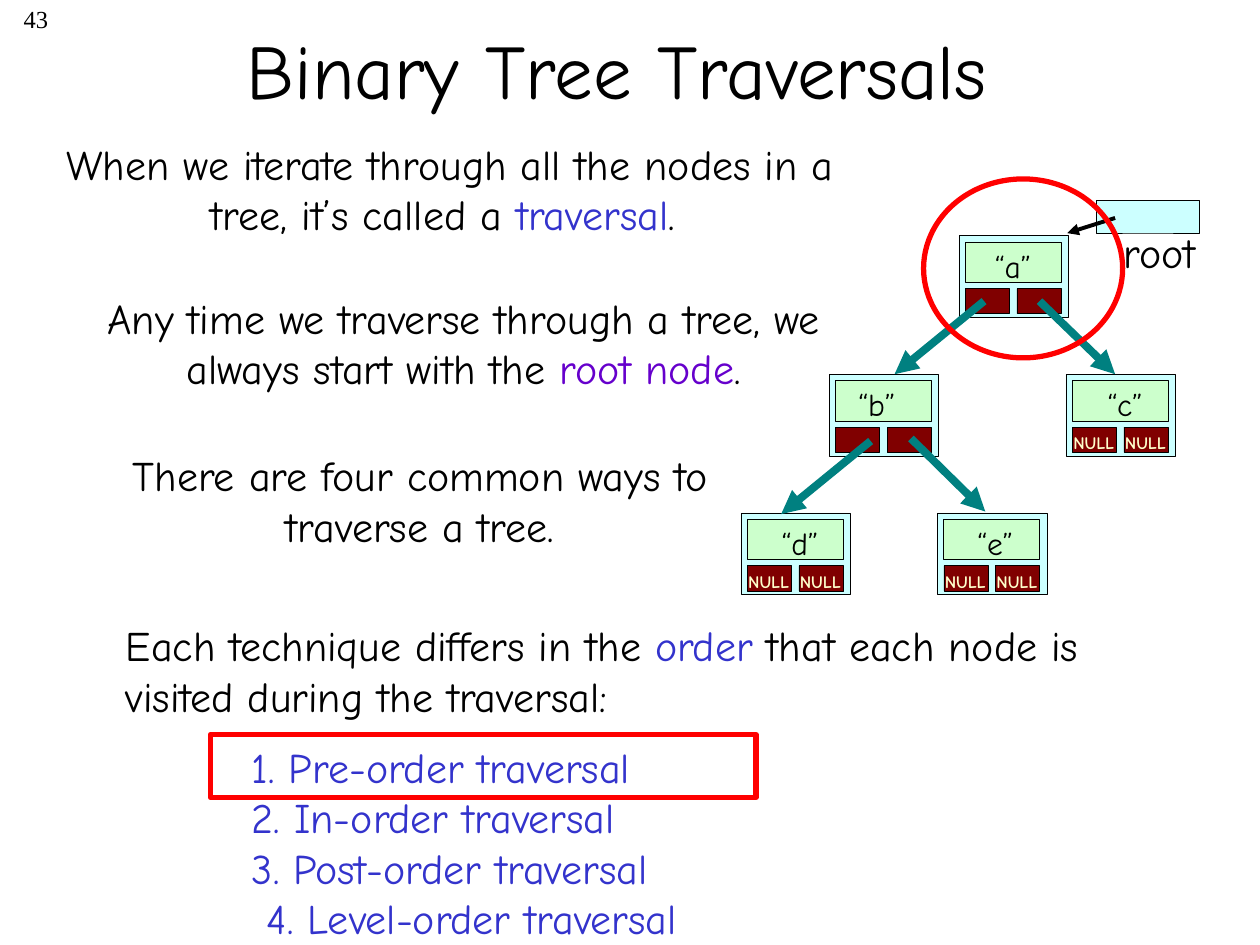
from lxml.etree import SubElement
from pptx import Presentation
from pptx.dml.color import RGBColor
from pptx.enum.shapes import MSO_CONNECTOR, MSO_SHAPE
from pptx.enum.text import MSO_ANCHOR, PP_ALIGN
from pptx.oxml.ns import qn
from pptx.util import Inches, Pt

COLUMNS, ROWS = 10, 7.5
BLACK, BLUE, PURPLE, RED = "000000", "3333CC", "6600CC", "FF0000"
CYAN, GREEN, MAROON, TEAL, CREAM = "CCFFFF", "CCFFCC", "800000", "008080", "FFFFCC"
LEFT, CENTER, RIGHT = PP_ALIGN.LEFT, PP_ALIGN.CENTER, PP_ALIGN.RIGHT


def colour(value):
    """Turn a hex string into a colour."""
    return RGBColor.from_string(value)


class TreePage:
    """Holds the style and the slide; lengths are grid columns and rows."""

    font = "Comic Neue"

    def __init__(self, deck):
        """Add a blank slide whose grid has square cells."""
        self.cell = deck.slide_width / COLUMNS
        self.page = deck.slides.add_slide(deck.slide_layouts[6])

    def grid(self, *lengths):
        """Convert grid lengths to slide units."""
        return [round(length * self.cell) for length in lengths]

    def text(self, at, paragraphs, size=24, align=LEFT, anchor=MSO_ANCHOR.TOP,
             font=None, bold=False, wrap=True):
        """Add a text box; a paragraph is (spans, indent, space before)."""
        frame = self.page.shapes.add_textbox(*self.grid(*at)).text_frame
        frame.word_wrap, frame.vertical_anchor = wrap, anchor
        for number, (spans, indent, before) in enumerate(paragraphs):
            para = frame.add_paragraph() if number else frame.paragraphs[0]
            para.alignment, para.space_before = align, Pt(before)
            para.font.name, para.font.size = font or self.font, Pt(size)
            para.font.bold = bold
            if indent:
                para._p.get_or_add_pPr().set("marL", str(self.grid(indent)[0]))
            for words, ink in spans:
                span = para.add_run()
                span.text = words
                span.font.color.rgb = colour(ink)

    def line_of_text(self, at, words, ink=BLACK, **style):
        """Add a text box with a single span."""
        self.text(at, [([(words, ink)], 0, 0)], **style)

    def shape(self, at, fill=None, line=BLACK, width=0.25, kind=MSO_SHAPE.RECTANGLE):
        """Add an outlined shape, hollow when no fill is given."""
        box = self.page.shapes.add_shape(kind, *self.grid(*at))
        box.shadow.inherit = False
        if fill:
            box.fill.solid()
            box.fill.fore_color.rgb = colour(fill)
        else:
            box.fill.background()
        box.line.color.rgb, box.line.width = colour(line), Pt(width)

    def arrow(self, start, end, ink=TEAL, width=4.5):
        """Add a straight arrow."""
        link = self.page.shapes.add_connector(
            MSO_CONNECTOR.STRAIGHT, *self.grid(*start, *end))
        link.line.color.rgb, link.line.width = colour(ink), Pt(width)
        properties = link.element.spPr
        SubElement(properties.find(qn("a:ln")), qn("a:tailEnd"), type="triangle")
        SubElement(properties, qn("a:effectLst"))

    def node(self, letter, left, top, shift, leaf):
        """Add a tree node: frame, value and two pointers, empty in a leaf."""
        self.shape((left, top, 0.87, 0.65), CYAN)
        self.shape((left + 0.05, top + 0.05, 0.76, 0.32), GREEN)
        self.line_of_text((left + 0.05 + shift, top + 0.04, 0.76, 0.4),
                          f"“{letter}”", size=18, align=CENTER, wrap=False)
        for slot in (left + 0.05, left + 0.46):
            self.shape((slot, top + 0.42, 0.35, 0.2), MAROON)
            if leaf:
                self.line_of_text((slot - 0.09, top + 0.41, 0.57, 0.27), "NULL",
                                  CREAM, size=10, bold=True, wrap=False)


deck = Presentation()
deck.slide_width, deck.slide_height = Inches(COLUMNS), Inches(ROWS)
tree = TreePage(deck)

tree.line_of_text((0, -0.02, 0.48, 0.5), "43", size=14, align=RIGHT,
                  font="Times New Roman")
tree.line_of_text((0.75, -0.08, 8.5, 1.25), "Binary Tree Traversals ", size=44,
                  align=CENTER, anchor=MSO_ANCHOR.MIDDLE)

statements = [
    ((0.31, 1.05, 6.52, 0.9), [
        ("When we iterate through all the nodes in a tree, it’s called a ", BLACK),
        ("traversal", BLUE), (". ", BLACK)]),
    ((0.42, 2.27, 6.52, 0.9), [
        ("Any time we traverse through a tree, we always start with the ", BLACK),
        ("root node", PURPLE), (".", BLACK)]),
    ((0.5, 3.52, 5.67, 0.9), [
        ("There are four common ways to traverse a tree.", BLACK)]),
]
for place, spans in statements:
    tree.text(place, [(spans, 0, 0)], align=CENTER)

technique = [("Each technique differs in the ", BLACK), ("order", BLUE),
             (" that each node is visited during the traversal:", BLACK)]
orders = [("Pre", 1, 12), ("In", 1, 0), ("Post", 1, 0), ("Level", 1.12, 0)]
tree.text((0.9, 4.87, 8.39, 2.7), [(technique, 0, 0)] + [
    ([(f"{number}. {name}-order traversal", BLUE)], indent, before)
    for number, (name, indent, before) in enumerate(orders, 1)])

LEVEL_TOPS = [1.87, 2.97, 4.07]
nodes = [("a", 7.61, 0, 0, False), ("b", 6.58, 1, -0.05, False),
         ("c", 8.46, 1, 0.04, True), ("d", 5.88, 2, 0.04, True),
         ("e", 7.44, 2, 0.03, True)]
for letter, left, level, shift, leaf in nodes:
    tree.node(letter, left, LEVEL_TOPS[level], shift, leaf)

child_links = [((7.81, 2.39), (7.1, 2.97)), ((8.25, 2.39), (8.85, 2.97)),
               ((6.91, 3.5), (6.2, 4.08)), ((7.23, 3.48), (7.82, 4.06))]
for start, end in child_links:
    tree.arrow(start, end)

tree.shape((8.7, 1.59, 0.82, 0.26), CYAN)
tree.line_of_text((8.82, 1.75, 0.87, 0.5), "root", wrap=False)
tree.arrow((8.85, 1.73), (8.47, 1.85), BLACK, 2.25)

tree.shape((7.33, 1.42, 1.58, 1.42), line=RED, width=3, kind=MSO_SHAPE.OVAL)
tree.shape((1.67, 5.83, 4.33, 0.5), line=RED, width=3)

deck.save("out.pptx")
